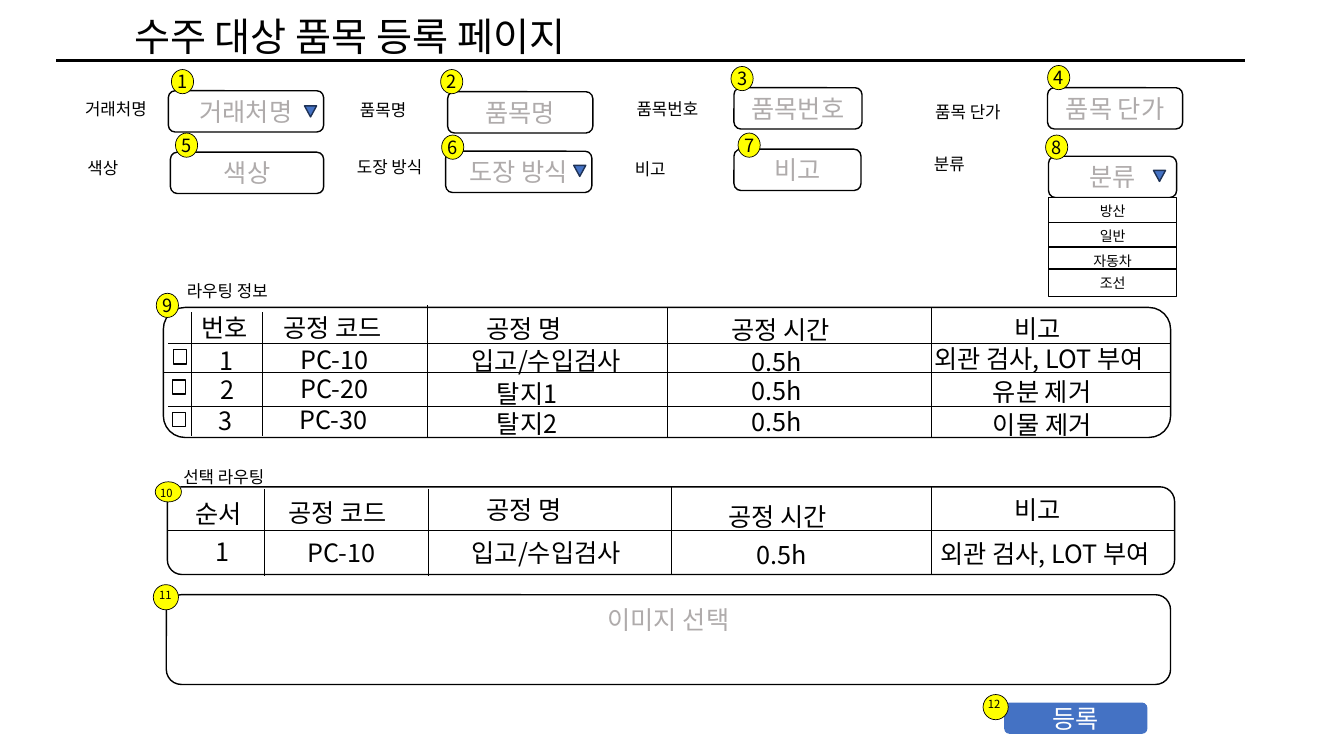
from dataclasses import dataclass

from lxml import etree
from pptx import Presentation
from pptx.dml.color import RGBColor
from pptx.enum.shapes import MSO_CONNECTOR, MSO_SHAPE
from pptx.enum.text import MSO_ANCHOR, PP_ALIGN
from pptx.oxml.ns import qn
from pptx.util import Inches, Pt

ROUND = MSO_SHAPE.ROUNDED_RECTANGLE
RECT = MSO_SHAPE.RECTANGLE
DISC = MSO_SHAPE.FLOWCHART_CONNECTOR
ARROW = MSO_SHAPE.FLOWCHART_MERGE
STRAIGHT = MSO_CONNECTOR.STRAIGHT
TOP, MIDDLE = MSO_ANCHOR.TOP, MSO_ANCHOR.MIDDLE
LEFT, CENTER = PP_ALIGN.LEFT, PP_ALIGN.CENTER
ACROSS, DOWN = (1, 3), (0, 2)


@dataclass(frozen=True)
class Theme:
    font: str = "Noto Sans CJK KR"
    ink: str = "000000"
    paper: str = "FFFFFF"
    hint: str = "AFABAB"
    blue: str = "4472C4"
    navy: str = "1E3256"
    yellow: str = "FFFF00"
    title: int = 28
    body: int = 18
    mark: int = 13
    label: int = 12
    option: int = 10
    small: int = 8
    rule: float = 1.5
    edge: float = 1
    hair: float = 0.5


class Page:
    """Draws the styled elements of one slide."""

    def __init__(self, slide, theme):
        self.slide = slide
        self.theme = theme

    def letter(self, frame, text, size, color, align=LEFT, anchor=TOP):
        form = {"word_wrap": True, "vertical_anchor": anchor}
        for key, value in form.items():
            setattr(frame, key, value)
        para = frame.paragraphs[0]
        para.alignment = align
        run = para.add_run()
        run.text = text
        run.font.color.rgb = RGBColor.from_string(color)
        for key, value in {"size": Pt(size), "name": self.theme.font}.items():
            setattr(run.font, key, value)
        east = etree.SubElement(run.font._element, qn("a:ea"))
        east.set("typeface", self.theme.font)

    def title(self, text, *spot):
        head = self.slide.shapes.title
        for key, value in zip(("left", "top", "width", "height"), spot):
            setattr(head, key, Inches(value))
        self.letter(head.text_frame, text, self.theme.title, self.theme.ink)

    def shape(self, kind, spot, fill=None, line=None, width=1):
        item = self.slide.shapes.add_shape(kind, *map(Inches, spot))
        item.shadow.inherit = False
        for paint, color in ((item.fill, fill), (item.line.fill, line)):
            if color:
                paint.solid()
                paint.fore_color.rgb = RGBColor.from_string(color)
            else:
                paint.background()
        if line:
            item.line.width = Pt(width)
        return item

    def box(self, kind, *spot):
        look = self.theme
        return self.shape(kind, spot, look.paper, look.ink, look.edge)

    def field(self, text, *spot, anchor=MIDDLE):
        item = self.box(ROUND, *spot)
        look = self.theme
        self.letter(item.text_frame, text, look.body, look.hint, CENTER, anchor)

    def label(self, text, x, y, w):
        item = self.shape(ROUND, (x, y, w, 0.41))
        look = self.theme
        self.letter(item.text_frame, text, look.label, look.ink, CENTER, MIDDLE)

    def option(self, text, *spot):
        item = self.box(RECT, *spot)
        look = self.theme
        self.letter(item.text_frame, text, look.option, look.ink, CENTER, MIDDLE)

    def button(self, text, *spot):
        look = self.theme
        item = self.shape(ROUND, spot, look.blue)
        self.letter(item.text_frame, text, look.body, look.paper, CENTER, MIDDLE)

    def arrow(self, x, y):
        look = self.theme
        self.shape(ARROW, (x, y, 0.12, 0.11), look.blue, look.navy, look.edge)

    def mark(self, x, y, w=0.22, h=0.24, text=""):
        look = self.theme
        item = self.shape(DISC, (x, y, w, h), look.yellow, look.ink, look.hair)
        if text:
            frame = item.text_frame
            for side in ("left", "top", "right", "bottom"):
                setattr(frame, "margin_" + side, 0)
            self.letter(frame, text, look.mark, look.ink, CENTER, MIDDLE)

    def text(self, text, x, y, w, h=0.4, size=None):
        item = self.slide.shapes.add_textbox(*map(Inches, (x, y, w, h)))
        look = self.theme
        self.letter(item.text_frame, text, size or look.body, look.ink)

    def line(self, x1, y1, x2, y2, width=None, frame=None, ends=ACROSS):
        item = self.slide.shapes.add_connector(
            STRAIGHT, *map(Inches, (x1, y1, x2, y2)))
        item.line.color.rgb = RGBColor.from_string(self.theme.ink)
        item.line.width = Pt(width or self.theme.hair)
        etree.SubElement(item._element.spPr, qn("a:effectLst"))
        if frame is not None:
            item.begin_connect(frame, ends[0])
            item.end_connect(frame, ends[1])

    def grid(self, spot, rows, cols, cells):
        frame = self.box(ROUND, *spot)
        for x, y, mid in rows:
            self.line(x, y, spot[0] + spot[2], y, frame=frame if mid else None)
        for x, y, end, mid in cols:
            self.line(x, y, x, end, frame=frame if mid else None, ends=DOWN)
        for cell in cells:
            self.text(*cell)


FIELDS = [
    ("거래처명", (0.59, 0.87, 1.12), (1.67, 0.9, 1.54), (1.7, 0.69)),
    ("품목명", (3.24, 0.88, 1.12), (4.44, 0.91, 1.44), (4.37, 0.69)),
    ("품목번호", (6.06, 0.87, 1.12), (7.28, 0.87, 1.27), (7.25, 0.66)),
    ("품목 단가", (9.04, 0.9, 1.12), (10.39, 0.87, 1.34), (10.39, 0.65)),
    ("색상", (0.64, 1.46, 0.76), (1.69, 1.51, 1.52), (1.74, 1.32)),
    ("도장 방식", (3.33, 1.45, 1.07), (4.42, 1.5, 1.45), (4.38, 1.34)),
    ("비고", (6.02, 1.47, 0.86), (7.28, 1.48, 1.26), (7.32, 1.32)),
    ("분류", (8.99, 1.42, 0.85), (10.4, 1.55, 1.27), (10.37, 1.34)),
]
OPTIONS = [("방산", 1.96), ("일반", 2.21), ("자동차", 2.45), ("조선", 2.67)]
ROUTES = [
    ("번호", 1.9, 3.05, 0.8), ("공정 코드", 2.71, 3.05, 1.57),
    ("공정 명", 4.73, 3.06, 1.57), ("공정 시간", 7.16, 3.07, 1.57),
    ("비고", 9.96, 3.06, 1.57),
    ("1", 2.08, 3.38, 0.35), ("PC-10", 2.88, 3.37, 1.16),
    ("입고/수입검사", 4.58, 3.38, 1.86), ("0.5h", 7.36, 3.39, 1.16),
    ("외관 검사, LOT 부여", 9.17, 3.36, 2.5),
    ("2", 2.09, 3.66, 0.35), ("PC-20", 2.88, 3.65, 1.16),
    ("탈지1", 4.83, 3.7, 1.16), ("0.5h", 7.36, 3.67, 1.16),
    ("유분 제거", 9.75, 3.68, 1.36),
    ("3", 2.07, 3.97, 0.35), ("PC-30", 2.87, 3.96, 1.16),
    ("탈지2", 4.83, 4, 1.16), ("0.5h", 7.36, 3.98, 1.16),
    ("이물 제거", 9.75, 4.01, 1.29),
]
CHOSEN = [
    ("순서", 1.84, 4.89, 0.71), ("공정 코드", 2.76, 4.88, 1.57),
    ("공정 명", 4.73, 4.85, 1.57), ("공정 시간", 7.13, 4.92, 1.57),
    ("비고", 9.96, 4.86, 1.57),
    ("1", 2.04, 5.27, 0.35), ("PC-10", 2.95, 5.28, 1.16),
    ("입고/수입검사", 4.58, 5.28, 1.86), ("0.5h", 7.41, 5.3, 1.16),
    ("외관 검사, LOT 부여", 9.23, 5.29, 2.5),
]


def main():
    deck = Presentation()
    deck.slide_width, deck.slide_height = Inches(13.33), Inches(7.5)
    theme = Theme()
    page = Page(deck.slides.add_slide(deck.slide_layouts[5]), theme)
    page.title("수주 대상 품목 등록 페이지", 1.23, 0.07, 7.6, 0.57)
    page.line(0.56, 0.6, 12.35, 0.6, theme.rule)
    for num, (name, label, field, mark) in enumerate(FIELDS, 1):
        page.label(name, *label)
        page.field(name, *field, 0.41)
        page.mark(*mark, text=str(num))
    for spot in ((3.02, 1.05), (5.69, 1.64), (11.44, 1.69)):
        page.arrow(*spot)
    for name, y in OPTIONS:
        page.option(name, 10.4, y, 1.27, 0.27)
    page.grid((1.62, 3.05, 9.99, 1.29),
              [(1.67, 3.41, False), (1.62, 3.7, True), (1.67, 4.03, False)],
              [(1.9, 3.1, 4.33, False), (2.6, 3.1, 4.33, False),
               (4.24, 3.03, 4.34, False), (6.62, 3.05, 4.34, True),
               (9.24, 3.06, 4.34, False)], ROUTES)
    for x, y in ((1.72, 3.47), (1.71, 3.77), (1.71, 4.09)):
        page.box(RECT, x, y, 0.13, 0.14)
    page.label("라우팅 정보", 1.62, 2.68, 1.27)
    page.mark(1.55, 2.91, text="9")
    page.grid((1.66, 4.83, 9.99, 0.87), [(1.66, 5.26, True)],
              [(2.62, 4.85, 5.71, False), (4.25, 4.85, 5.71, False),
               (6.66, 4.83, 5.7, True), (9.24, 4.83, 5.7, False)], CHOSEN)
    page.label("선택 라우팅", 1.49, 4.53, 1.46)
    page.field("이미지 선택", 1.65, 5.9, 9.96, 0.89, anchor=TOP)
    page.button("등록", 9.96, 6.97, 1.42, 0.31)
    for num, disc, note in (("10", (1.54, 4.78, 0.26, 0.2), (1.49, 4.78, 0.46)),
                            ("11", (1.52, 5.8, 0.25, 0.25), (1.48, 5.79, 0.73)),
                            ("12", (9.75, 6.89, 0.25, 0.25), (9.7, 6.87, 0.73))):
        page.mark(*disc)
        page.text(num, *note, 0.24, theme.small)
    deck.save("out.pptx")


if __name__ == "__main__":
    main()
